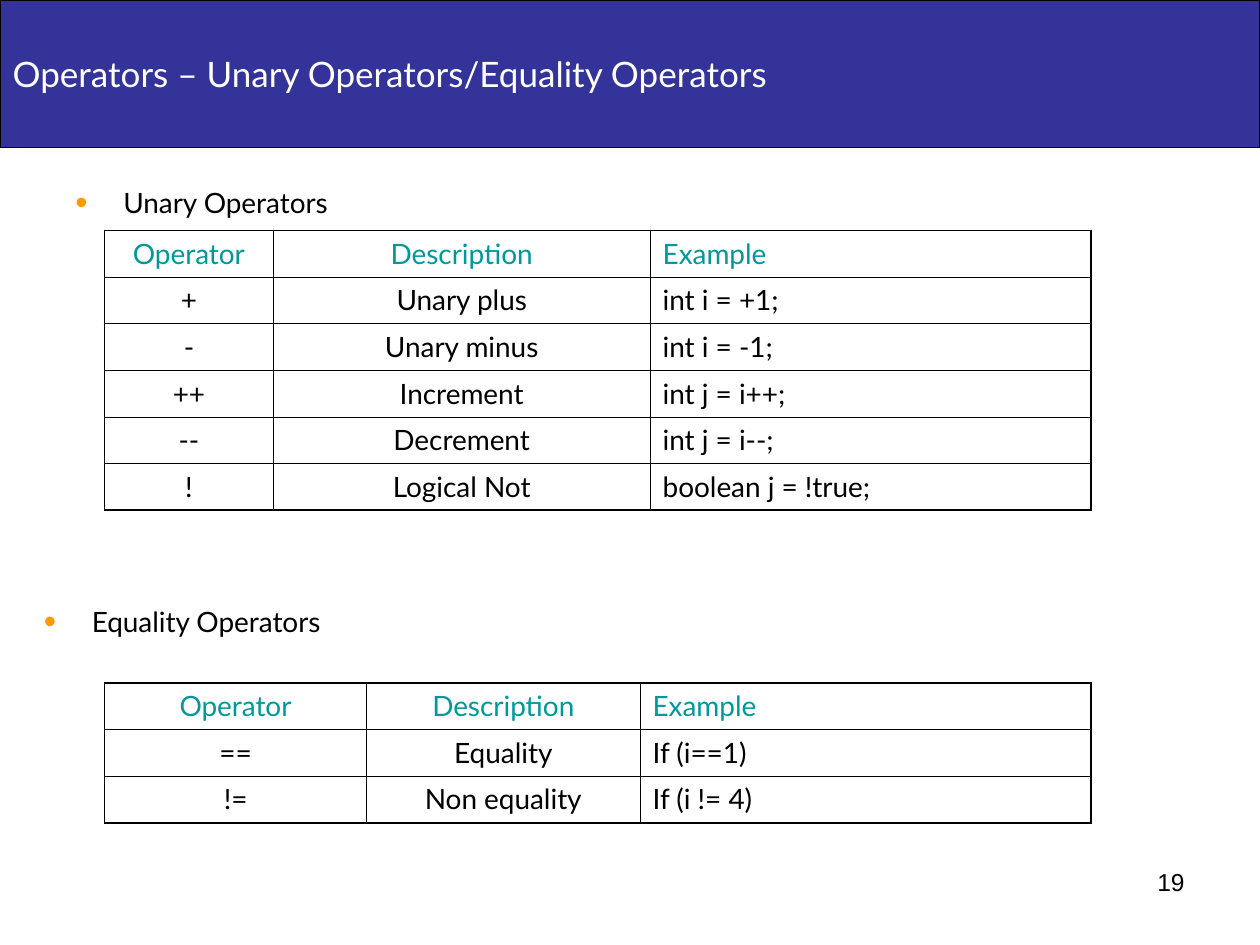
from lxml import etree
from pptx import Presentation
from pptx.dml.color import RGBColor
from pptx.enum.text import MSO_ANCHOR, MSO_AUTO_SIZE, PP_ALIGN
from pptx.oxml.ns import qn
from pptx.util import Inches, Pt

LEFT, CENTER, RIGHT = PP_ALIGN.LEFT, PP_ALIGN.CENTER, PP_ALIGN.RIGHT
MIDDLE = MSO_ANCHOR.MIDDLE
NO_AUTOFIT = MSO_AUTO_SIZE.NONE
TITLE_ONLY = 5

COLORS = {
    "bar": "333399",
    "title": "FFFFFF",
    "header": "009999",
    "text": "000000",
    "line": "000000",
    "bullet": "FF9900",
}
FONT = "Lato"
NUMBER_FONT = "Arial"
OUTER_LINE, INNER_LINE = Pt(1.08), Pt(0.45)
ROW_HEIGHT = 0.37

HEADERS = ["Operator", "Description", "Example"]
UNARY_ROWS = [
    HEADERS,
    ["+", "Unary plus", "int i = +1;"],
    ["-", "Unary minus", "int i = -1;"],
    ["++", "Increment", "int j = i++;"],
    ["--", "Decrement", "int j = i--;"],
    ["!", "Logical Not", "boolean j = !true;"],
]
EQUALITY_ROWS = [
    HEADERS,
    ["==", "Equality", "If (i==1)"],
    ["!=", "Non equality", "If (i != 4)"],
]


def color(name):
    return RGBColor.from_string(COLORS[name])


def write(text_frame, text, size, color_name, align=LEFT, font_name=FONT):
    text_frame.text = text
    paragraph = text_frame.paragraphs[0]
    paragraph.alignment = align
    font = paragraph.runs[0].font
    font.name = font_name
    font.size = Pt(size)
    font.color.rgb = color(color_name)
    return paragraph


def add_text_box(slide, left, top, width, height):
    box = slide.shapes.add_textbox(
        Inches(left), Inches(top), Inches(width), Inches(height))
    box.text_frame.word_wrap = True
    return box.text_frame


def place_title(slide, left, top, width, height, text):
    title = slide.shapes.title
    title.left, title.top = Inches(left), Inches(top)
    title.width, title.height = Inches(width), Inches(height)
    title.fill.solid()
    title.fill.fore_color.rgb = color("bar")
    title.line.color.rgb = color("line")
    title.line.width = Pt(0.75)
    text_frame = title.text_frame
    text_frame.auto_size = NO_AUTOFIT
    text_frame.word_wrap = True
    text_frame.vertical_anchor = MIDDLE
    write(text_frame, text, 20, "title")


def add_bullet_heading(slide, left, top, width, height, text):
    paragraph = write(
        add_text_box(slide, left, top, width, height), text, 16, "text")
    properties = paragraph._p.get_or_add_pPr()
    properties.set("marL", str(Inches(0.38)))
    properties.set("indent", str(-Inches(0.38)))
    bullet_color = etree.SubElement(properties, qn("a:buClr"))
    etree.SubElement(bullet_color, qn("a:srgbClr"), val=COLORS["bullet"])
    etree.SubElement(properties, qn("a:buSzPct"), val="125000")
    etree.SubElement(properties, qn("a:buFont"), typeface=NUMBER_FONT)
    etree.SubElement(properties, qn("a:buChar"), char="•")


def set_borders(cell, outer_sides):
    properties = cell._tc.get_or_add_tcPr()
    for side, is_outer in outer_sides.items():
        width = OUTER_LINE if is_outer else INNER_LINE
        line = etree.SubElement(properties, qn(f"a:ln{side}"), w=str(width))
        fill = etree.SubElement(line, qn("a:solidFill"))
        etree.SubElement(fill, qn("a:srgbClr"), val=COLORS["line"])


def add_operator_table(slide, left, top, column_widths, rows):
    row_count, column_count = len(rows), len(column_widths)
    table = slide.shapes.add_table(
        row_count, column_count, Inches(left), Inches(top),
        Inches(sum(column_widths)), Inches(ROW_HEIGHT * row_count)).table
    table.first_row = table.horz_banding = False
    for column, width in zip(table.columns, column_widths):
        column.width = Inches(width)
    for row_index, row in enumerate(rows):
        table.rows[row_index].height = Inches(ROW_HEIGHT)
        for column_index, text in enumerate(row):
            cell = table.cell(row_index, column_index)
            is_last_column = column_index == column_count - 1
            write(cell.text_frame, text, 16,
                  "text" if row_index else "header",
                  LEFT if is_last_column else CENTER)
            set_borders(cell, {
                "L": column_index == 0,
                "R": is_last_column,
                "T": row_index == 0,
                "B": row_index == row_count - 1,
            })
            cell.fill.background()


def add_page_number(slide, left, top, width, height, number):
    write(add_text_box(slide, left, top, width, height),
          number, 14, "text", RIGHT, NUMBER_FONT)


def main():
    presentation = Presentation()
    presentation.slide_width = Inches(10)
    presentation.slide_height = Inches(7.5)
    slide = presentation.slides.add_slide(
        presentation.slide_layouts[TITLE_ONLY])

    # Title bar
    place_title(slide, 0, 0, 10, 1.17,
                "Operators – Unary Operators/Equality Operators")

    # Unary operators
    add_bullet_heading(slide, 0.5, 1.42, 4.42, 0.42, "Unary Operators")
    add_operator_table(slide, 0.83, 1.83, [1.34, 2.99, 3.5], UNARY_ROWS)

    # Equality operators
    add_bullet_heading(slide, 0.25, 4.75, 4.42, 0.42, "Equality Operators")
    add_operator_table(slide, 0.83, 5.42, [2.08, 2.17, 3.58], EQUALITY_ROWS)

    # Page number
    add_page_number(slide, 7.17, 6.83, 2.33, 0.52, "19")

    presentation.save("out.pptx")


if __name__ == "__main__":
    main()
